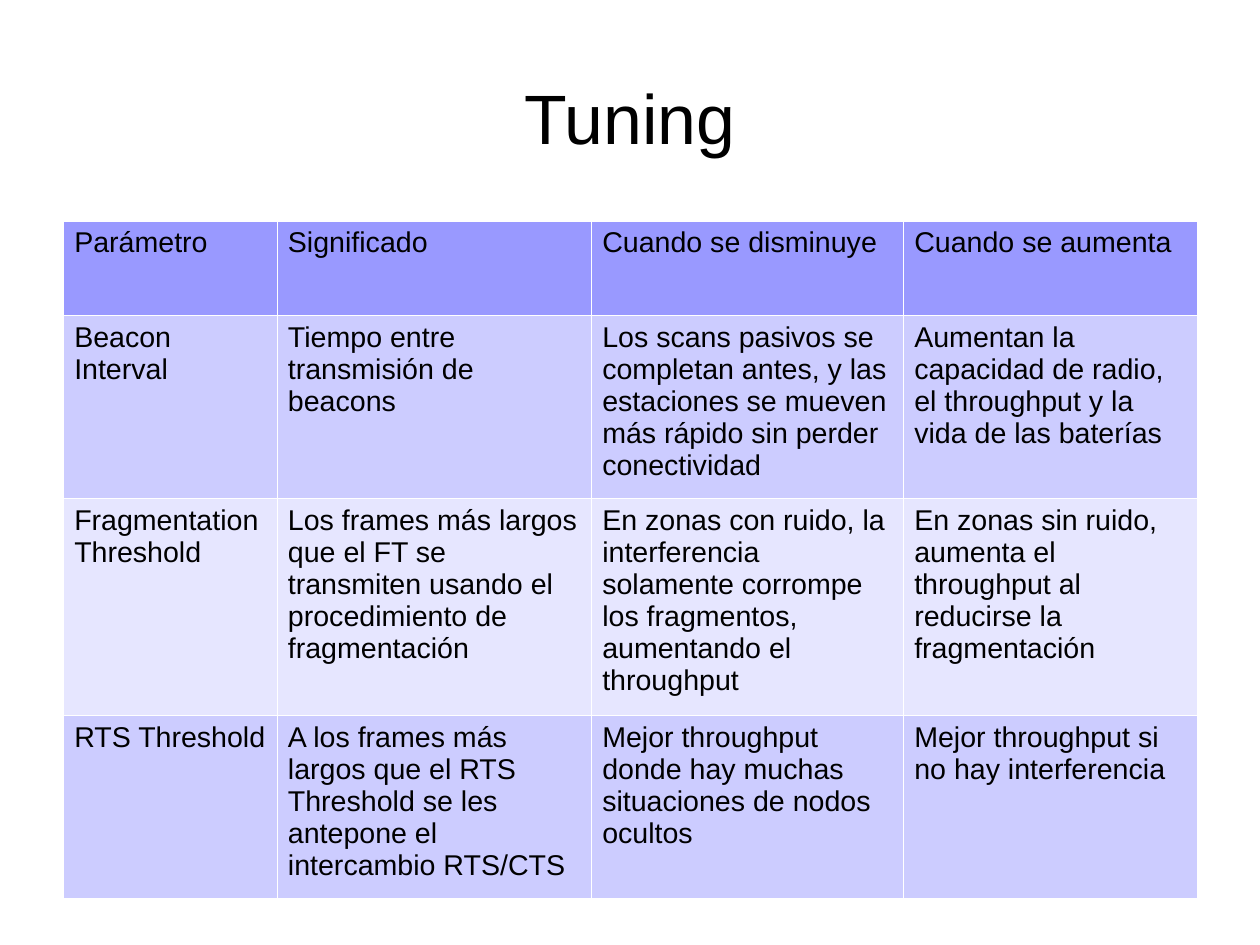
"""Build the Tuning slide: a title above a table of wireless parameters."""
import dataclasses

import lxml.etree
import pptx
import pptx.dml.color
import pptx.enum.text
import pptx.oxml.ns
import pptx.slide
import pptx.table
import pptx.text.text
import pptx.util


@dataclasses.dataclass(frozen=True)
class Theme:
    font: str = "Arial"
    text: str = "000000"
    border: str = "FFFFFF"
    header: str = "9999FF"
    bands: tuple[str, str] = ("CCCCFF", "E6E6FF")
    title_size: float = 44
    table_size: float = 18
    border_width: float = 0.06


@dataclasses.dataclass(frozen=True)
class Row:
    height: float
    texts: tuple[str, str, str, str]


THEME = Theme()
PAGE_WIDTH, PAGE_HEIGHT = pptx.util.Cm(28), pptx.util.Cm(21)
MARGIN = round(0.05 * PAGE_WIDTH)
CONTENT_WIDTH = round(0.9 * PAGE_WIDTH)
TITLE_TOP, TITLE_HEIGHT = round(0.04 * PAGE_HEIGHT), round(PAGE_HEIGHT / 6)
TABLE_TOP = pptx.util.Inches(1.93)
CELL_MARGINS = {
    "margin_left": pptx.util.Cm(0.25), "margin_right": pptx.util.Cm(0.25),
    "margin_top": pptx.util.Cm(0.13), "margin_bottom": pptx.util.Cm(0.13),
}
COLUMN_WIDTHS = (1.87, 2.75, 2.73, 2.57)
ROWS = (
    Row(0.83, ("Parámetro", "Significado", "Cuando se disminuye", "Cuando se aumenta")),
    Row(1.6, (
        "Beacon Interval",
        "Tiempo entre transmisión de beacons",
        "Los scans pasivos se completan antes, y las estaciones se mueven más rápido "
        "sin perder conectividad",
        "Aumentan la capacidad de radio, el throughput y la vida de las baterías",
    )),
    Row(1.9, (
        "Fragmentation Threshold",
        "Los frames más largos que el FT se transmiten usando el procedimiento de fragmentación",
        "En zonas con ruido, la interferencia solamente corrompe los fragmentos, "
        "aumentando el throughput",
        "En zonas sin ruido, aumenta el throughput al reducirse la fragmentación",
    )),
    Row(1.6, (
        "RTS Threshold",
        "A los frames más largos que el RTS Threshold se les antepone el intercambio RTS/CTS",
        "Mejor throughput donde hay muchas situaciones de nodos ocultos",
        "Mejor throughput si no hay interferencia",
    )),
)


def apply_format(target: object, values: dict[str, object]) -> None:
    for name, value in values.items():
        setattr(target, name, value)


def write_text(frame: pptx.text.text.TextFrame, text: str, size: float) -> None:
    span = frame.paragraphs[0].add_run()
    span.text = text
    apply_format(span.font, {"name": THEME.font, "size": pptx.util.Pt(size), "bold": False})
    span.font.color.rgb = pptx.dml.color.RGBColor.from_string(THEME.text)


def add_borders(cell: pptx.table._Cell) -> None:
    properties = cell._tc.get_or_add_tcPr()
    for position, side in enumerate(("lnL", "lnR", "lnT", "lnB")):
        line = lxml.etree.Element(
            pptx.oxml.ns.qn(f"a:{side}"), w=str(int(pptx.util.Pt(THEME.border_width))))
        fill = lxml.etree.SubElement(line, pptx.oxml.ns.qn("a:solidFill"))
        lxml.etree.SubElement(fill, pptx.oxml.ns.qn("a:srgbClr"), val=THEME.border)
        properties.insert(position, line)


def add_title(page: pptx.slide.Slide, text: str) -> None:
    title = page.shapes.title
    apply_format(title, {
        "left": MARGIN, "top": TITLE_TOP, "width": CONTENT_WIDTH, "height": TITLE_HEIGHT,
    })
    frame = title.text_frame
    apply_format(frame, {
        "margin_left": 0, "margin_right": 0, "margin_top": 0, "margin_bottom": 0,
        "vertical_anchor": pptx.enum.text.MSO_ANCHOR.MIDDLE,
    })
    write_text(frame, text, THEME.title_size)
    frame.paragraphs[0].alignment = pptx.enum.text.PP_ALIGN.CENTER


def add_parameter_table(page: pptx.slide.Slide) -> None:
    table_height = pptx.util.Inches(sum(row.height for row in ROWS))
    table = page.shapes.add_table(
        len(ROWS), len(COLUMN_WIDTHS), MARGIN, TABLE_TOP, CONTENT_WIDTH, table_height,
    ).table
    apply_format(table, {"first_row": False, "horz_banding": False})
    for column, width in zip(table.columns, COLUMN_WIDTHS):
        column.width = pptx.util.Inches(width)
    for index, row in enumerate(ROWS):
        table.rows[index].height = pptx.util.Inches(row.height)
        color = THEME.bands[(index - 1) % 2] if index else THEME.header
        for cell, text in zip(table.rows[index].cells, row.texts):
            apply_format(cell, CELL_MARGINS)
            cell.fill.solid()
            cell.fill.fore_color.rgb = pptx.dml.color.RGBColor.from_string(color)
            add_borders(cell)
            write_text(cell.text_frame, text, THEME.table_size)


def main() -> None:
    deck = pptx.Presentation()
    deck.slide_width = PAGE_WIDTH
    deck.slide_height = PAGE_HEIGHT
    page = deck.slides.add_slide(deck.slide_layouts.get_by_name("Title Only"))
    add_title(page, "Tuning")
    add_parameter_table(page)
    deck.save("out.pptx")


if __name__ == "__main__":
    main()
